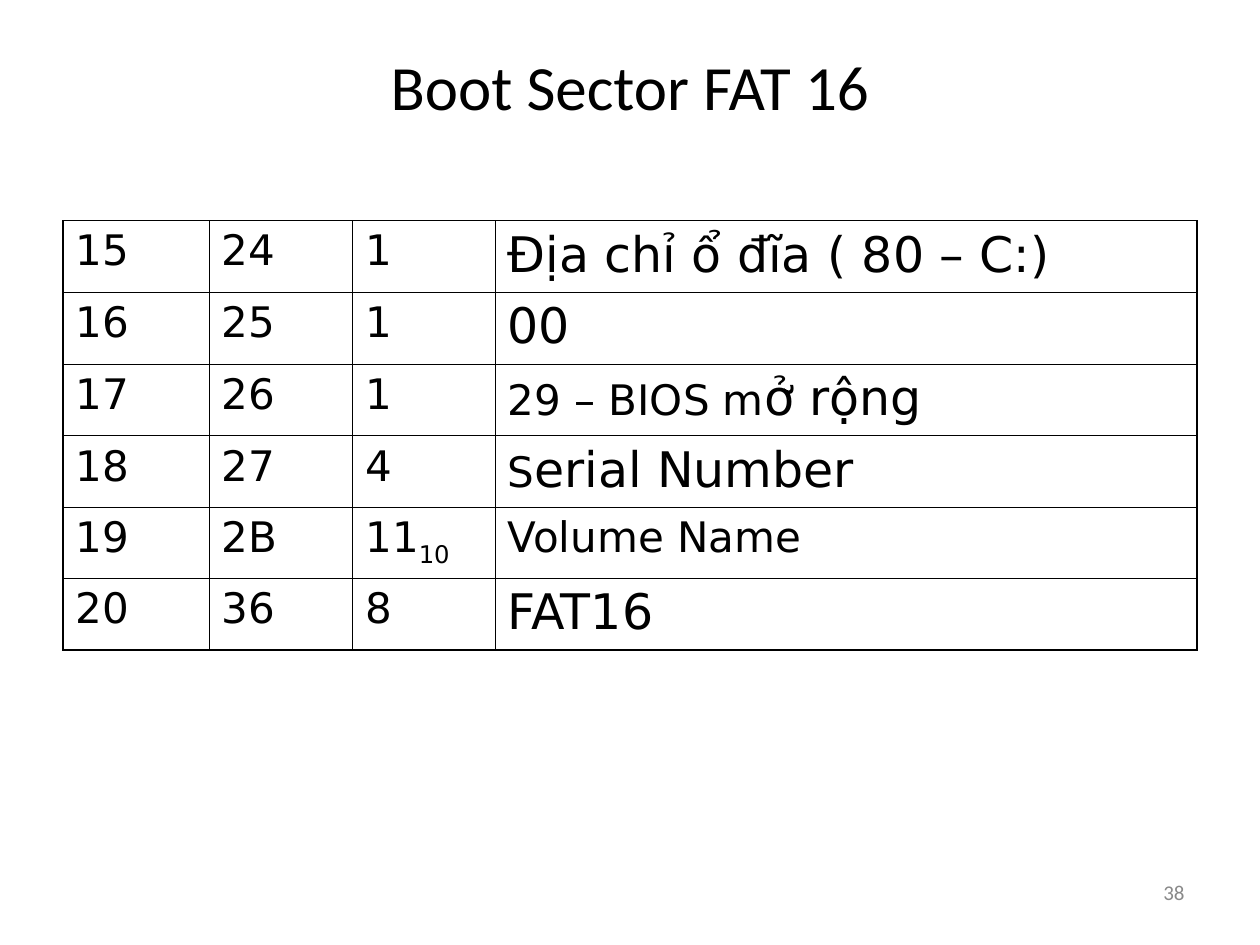
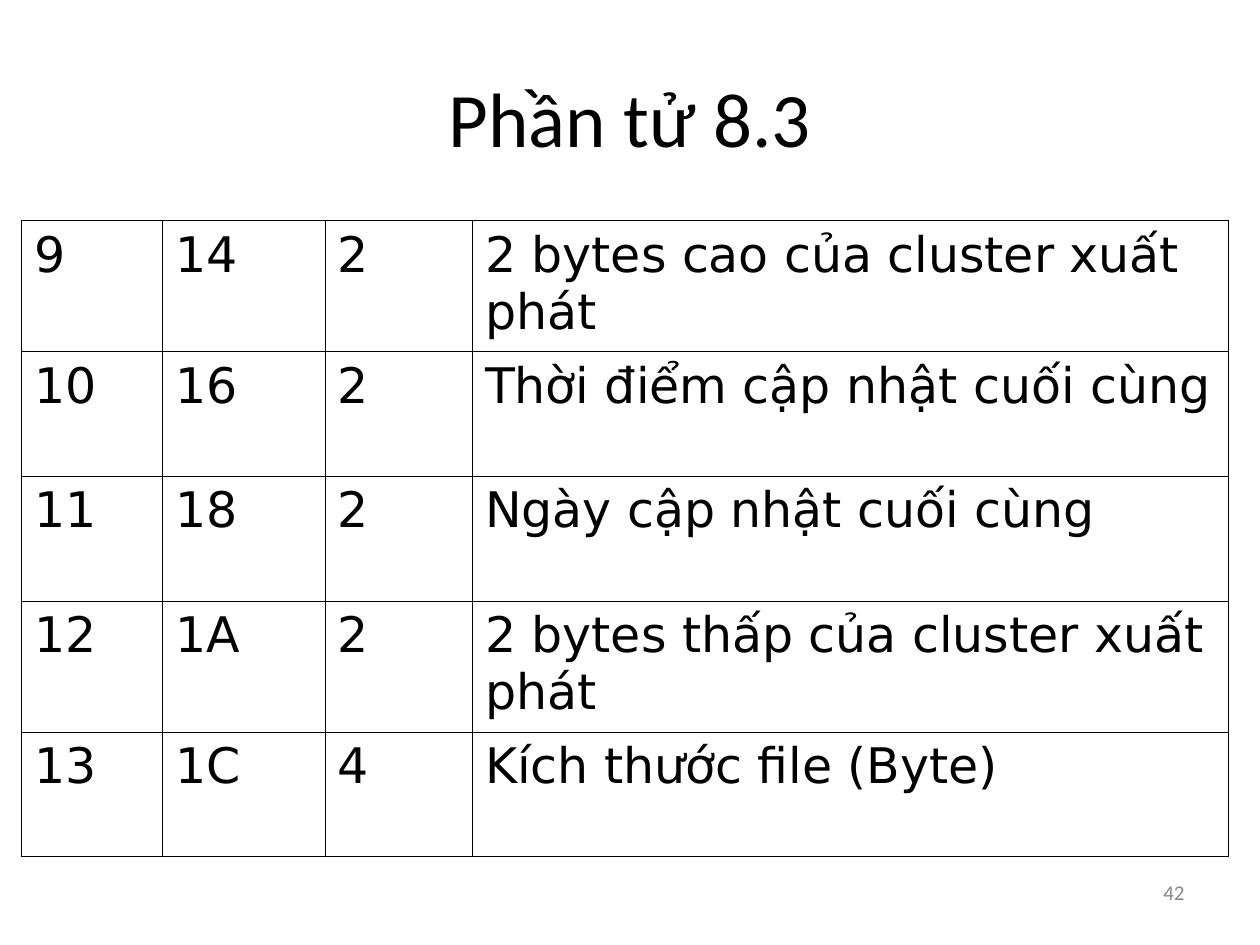
from dataclasses import dataclass

from lxml import etree
from pptx import Presentation
from pptx import util as u
from pptx.dml.color import RGBColor
from pptx.enum import text
from pptx.oxml import ns


@dataclass(frozen=True)
class Theme:
    ink: str = "000000"
    muted: str = "898989"
    heading_font: str = "Calibri"
    table_font: str = "DejaVu Sans"
    number_size: int = 12
    small: int = 24
    large: int = 28
    inner_line: float = 0.45
    outer_line: float = 1.08


@dataclass(frozen=True)
class Piece:
    """A part of a cell's text that has its own size or position."""
    content: str
    size: int
    subscript: bool = False


class Deck:
    COLUMNS, ROWS = 100, 75
    TITLE_ONLY = 5

    def __init__(self, theme):
        self.theme = theme
        self.presentation = Presentation()
        self.presentation.slide_width = u.Inches(10)
        self.presentation.slide_height = u.Inches(7.5)
        self.slide = None

    # Grid lengths
    def across(self, columns):
        return round(self.presentation.slide_width * columns / self.COLUMNS)

    def down(self, rows):
        return round(self.presentation.slide_height * rows / self.ROWS)

    def box(self, left, top, width, height):
        return self.across(left), self.down(top), self.across(width), self.down(height)

    def style(self, paragraph, font, size, color, alignment):
        paragraph.alignment = alignment
        paragraph.font.name = font
        paragraph.font.size = u.Pt(size)
        paragraph.font.color.rgb = RGBColor.from_string(color)

    # Slide with title and number
    def add_slide(self, title, title_size, title_height, number):
        layout = self.presentation.slide_layouts[self.TITLE_ONLY]
        self.slide = self.presentation.slides.add_slide(layout)
        self.add_number(number)
        shape = self.slide.shapes.title
        shape.left, shape.top, shape.width, shape.height = self.box(5, 3, 90, title_height)
        frame = shape.text_frame
        frame.text = title
        frame.vertical_anchor = text.MSO_ANCHOR.MIDDLE
        self.style(frame.paragraphs[0], self.theme.heading_font, title_size,
                   self.theme.ink, text.PP_ALIGN.CENTER)

    def add_number(self, number):
        frame = self.slide.shapes.add_textbox(*self.box(71.7, 68.3, 23.3, 5)).text_frame
        frame.word_wrap = True
        frame.vertical_anchor = text.MSO_ANCHOR.MIDDLE
        frame.text = str(number)
        self.style(frame.paragraphs[0], self.theme.heading_font, self.theme.number_size,
                   self.theme.muted, text.PP_ALIGN.RIGHT)

    # Ruled table
    def add_table(self, left, top, widths, heights, sizes, records, outer_sides):
        area = self.box(left, top, sum(widths), sum(heights))
        table = self.slide.shapes.add_table(len(records), len(widths), *area).table
        table.first_row = table.horz_banding = False
        for column, width in zip(table.columns, widths):
            column.width = self.across(width)
        for row, height in zip(table.rows, heights):
            row.height = self.down(height)
        last_row, last_column = len(records) - 1, len(widths) - 1
        for r, record in enumerate(records):
            for c, content in enumerate(record):
                cell = table.cell(r, c)
                at_edge = {"L": c == 0, "R": c == last_column,
                           "T": r == 0, "B": r == last_row}
                self.rule_cell(cell, {side for side in outer_sides if at_edge[side]})
                self.fill_cell(cell, content, sizes[c])

    def rule_cell(self, cell, thick_sides):
        properties = cell._tc.get_or_add_tcPr()
        for side in "LRTB":
            points = self.theme.outer_line if side in thick_sides else self.theme.inner_line
            line = etree.SubElement(properties, ns.qn(f"a:ln{side}"), w=str(u.Pt(points)))
            fill = etree.SubElement(line, ns.qn("a:solidFill"))
            etree.SubElement(fill, ns.qn("a:srgbClr"), val=self.theme.ink)
        cell.fill.background()

    def fill_cell(self, cell, content, size):
        paragraph = cell.text_frame.paragraphs[0]
        paragraph.space_before = u.Pt(size / 4)
        self.style(paragraph, self.theme.table_font, size, self.theme.ink, text.PP_ALIGN.LEFT)
        pieces = [Piece(content, size)] if isinstance(content, str) else content
        for piece in pieces:
            run = paragraph.add_run()
            run.text = piece.content
            run.font.size = u.Pt(piece.size)
            if piece.subscript:
                run.font._element.set("baseline", "-25000")


def main():
    theme = Theme()
    small, large = theme.small, theme.large
    deck = Deck(theme)

    # Boot sector fields
    deck.add_slide("Boot Sector FAT 16", 36, 7.5, 38)
    deck.add_table(
        5, 17.5, [11.6, 11.4, 11.3, 55.7], [5.7, 5.7, 5.7, 5.7, 5.6, 5.7],
        [small, small, small, large],
        [
            ["15", "24", "1", "Địa chỉ ổ đĩa ( 80 – C:)"],
            ["16", "25", "1", "00"],
            ["17", "26", "1", [Piece("29 – BIOS m", small), Piece("ở rộng", large)]],
            ["18", "27", "4", [Piece("S", small), Piece("erial Number", large)]],
            ["19", "2B", [Piece("11", small), Piece("10", small, subscript=True)],
             [Piece("Volume Name", small)]],
            ["20", "36", "8", "FAT16"],
        ],
        outer_sides="LRB")

    # Directory entry fields
    deck.add_slide("Phần tử 8.3", 44, 12.5, 42)
    deck.add_table(
        1.7, 17.5, [11.2, 12.9, 11.7, 60], [10.4, 9.9, 9.9, 10.4, 9.9],
        [large] * 4,
        [
            ["9", "14", "2", "2 bytes cao của cluster xuất phát"],
            ["10", "16", "2", "Thời điểm cập nhật cuối cùng"],
            ["11", "18", "2", "Ngày cập nhật cuối cùng"],
            ["12", "1A", "2", "2 bytes thấp của cluster xuất phát"],
            ["13", "1C", "4", "Kích thước file (Byte)"],
        ],
        outer_sides="LRTB")

    deck.presentation.save("out.pptx")


if __name__ == "__main__":
    main()
